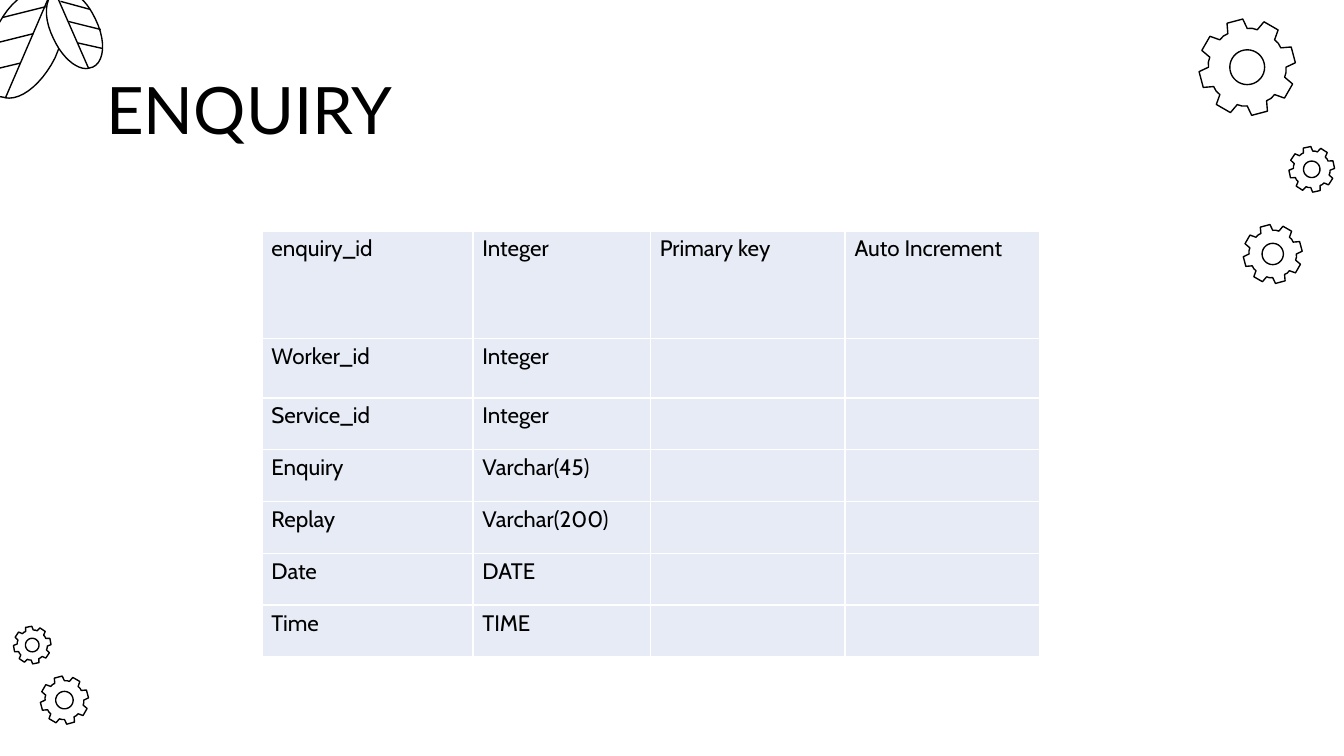
from dataclasses import dataclass
from itertools import chain
from math import cos, radians, sin

from lxml.etree import SubElement as Sub
from pptx import Presentation
from pptx.dml.color import RGBColor as RGB
from pptx.enum.text import MSO_ANCHOR as Anchor, MSO_AUTO_SIZE as Fit, PP_ALIGN as Align
from pptx.oxml.ns import qn
from pptx.util import Inches, Pt


@dataclass(frozen=True)
class Theme:
    ink: str = "000000"
    paper: str = "FFFFFF"
    cell: str = "E7EBF5"
    head: str = "Lato"
    body: str = "Cabin"
    head_size: float = 35
    body_size: float = 12
    line: float = 0.75
    rule: float = 1


# Centre x, centre y, outer radius, tilt in degrees
GEARS = [
    (9.47, 1.89, 0.22, 30),
    (9.76, 1.26, 0.17, 33),
    (9.28, 0.5, 0.36, 30),
    (0.48, 5.21, 0.18, 30),
    (0.24, 4.8, 0.14, 34),
]

# Each leaf: start of its edge, Bezier curves along it, and its veins
LEAVES = [
    (
        (0.07, 0.73),
        [
            ((0.04, 0.73), (0.02, 0.72), (0, 0.72)),
            ((-0.12, 0.66), (-0.13, 0.44), (-0.03, 0.22)),
            ((0.05, 0.04), (0.19, -0.08), (0.31, -0.08)),
            ((0.33, -0.08), (0.35, -0.07), (0.37, -0.06)),
            ((0.49, 0), (0.51, 0.21), (0.41, 0.43)),
            ((0.32, 0.61), (0.18, 0.73), (0.07, 0.73)),
        ],
        [
            (0.34, 0.05, 0.02, 0.13),
            (0.25, 0.25, -0.07, 0.33),
            (0.15, 0.47, -0.1, 0.53),
            (0.04, 0.73, 0.38, -0.06),
        ],
    ),
    (
        (0.64, 0.51),
        [
            ((0.66, 0.51), (0.68, 0.5), (0.69, 0.5)),
            ((0.78, 0.46), (0.79, 0.3), (0.71, 0.14)),
            ((0.65, 0.01), (0.55, -0.08), (0.47, -0.08)),
            ((0.45, -0.08), (0.44, -0.07), (0.42, -0.07)),
            ((0.33, -0.02), (0.32, 0.13), (0.4, 0.29)),
            ((0.46, 0.42), (0.56, 0.51), (0.64, 0.51)),
        ],
        [
            (0.45, 0.01, 0.67, 0.07),
            (0.51, 0.16, 0.75, 0.22),
            (0.58, 0.32, 0.76, 0.36),
            (0.66, 0.51, 0.41, -0.06),
        ],
    ),
]

COLS = [1.57, 1.32, 1.45, 1.45]
TALL = [0.8, 0.44]
ROWS = TALL + [(3.17 - sum(TALL)) / 5] * 5
FIELDS = [
    ("enquiry_id", "Integer", "Primary key", "Auto Increment"),
    ("Worker_id", "Integer"),
    ("Service_id", "Integer"),
    ("Enquiry", "Varchar(45)"),
    ("Replay", "Varchar(200)"),
    ("Date", "DATE"),
    ("Time", "TIME"),
]


def put(thing, form):
    for name, value in form.items():
        setattr(thing, name, value)


def polar(x, y, size, turn):
    return x + size * cos(radians(turn)), y + size * sin(radians(turn))


def curve(start, bends, steps=10):
    """Points along a chain of cubic Bezier curves."""
    dots = [start]
    for a, b, end in bends:
        for t in (n / steps for n in range(1, steps + 1)):
            s = 1 - t
            parts = zip(start, a, b, end)
            dots.append(tuple(
                s**3 * p + 3 * s * s * t * q + 3 * s * t * t * r + t**3 * e
                for p, q, r, e in parts
            ))
        start = end
    return dots


class Deck:
    def __init__(self, theme):
        self.theme = theme
        self.file = Presentation()
        wide = Inches(10)
        put(self.file, {"slide_width": wide, "slide_height": wide * 9 // 16})
        self.slide = self.file.slides.add_slide(self.file.slide_layouts[5])

    def font(self, font, name, size):
        put(font, {"name": name, "size": Pt(size), "bold": False})
        font.color.rgb = RGB.from_string(self.theme.ink)

    def stroke(self, shape):
        shape.line.color.rgb = RGB.from_string(self.theme.ink)
        shape.line.width = Pt(self.theme.line)

    def outline(self, shapes, loops, fill=None):
        """Draw one shape from closed loops of points in inches."""
        loops = [[(Inches(x), Inches(y)) for x, y in loop] for loop in loops]
        path = shapes.build_freeform(*loops[0][0])
        path.add_line_segments(loops[0][1:], close=True)
        for loop in loops[1:]:
            path.move_to(*loop[0])
            path.add_line_segments(loop[1:], close=True)
        shape = path.convert_to_shape()
        shape.shadow.inherit = False
        if fill:
            shape.fill.solid()
            shape.fill.fore_color.rgb = RGB.from_string(fill)
        else:
            shape.fill.background()
        self.stroke(shape)

    def gear(self, x, y, size, tilt):
        tooth = [(-15, 0.8), (-9.7, 1), (9.7, 1), (15, 0.8), (22.5, 0.81)]
        rim = [polar(x, y, size * far, tilt + 45 * n + turn)
               for n in range(8) for turn, far in tooth]
        hub = [polar(x, y, size * 0.36, turn) for turn in range(0, 360, 10)]
        self.outline(self.slide.shapes, [hub, rim])

    def leaf(self, start, bends, veins):
        shapes = self.slide.shapes.add_group_shape().shapes
        self.outline(shapes, [curve(start, bends)], self.theme.paper)
        for vein in veins:
            line = shapes.add_connector(1, *map(Inches, vein))
            Sub(line._element.spPr, qn("a:effectLst"))
            self.stroke(line)

    def title(self, text, *box):
        shape = self.slide.shapes.title
        put(shape, dict(zip(("left", "top", "width", "height"), map(Inches, box))))
        frame = shape.text_frame
        put(frame, {"text": text, "word_wrap": True, "auto_size": Fit.NONE,
                    "vertical_anchor": Anchor.MIDDLE, "margin_left": 0,
                    "margin_right": 0, "margin_top": 0, "margin_bottom": 0})
        line = frame.paragraphs[0]
        line.alignment = Align.LEFT
        self.font(line.font, self.theme.head, self.theme.head_size)

    def border(self, cell):
        props = cell._tc.get_or_add_tcPr()
        for side in ("lnL", "lnR", "lnT", "lnB"):
            edge = Sub(props, qn(f"a:{side}"), w=str(Pt(self.theme.rule)))
            Sub(Sub(edge, qn("a:solidFill")), qn("a:srgbClr"), val=self.theme.paper)

    def table(self, left, top, cols, rows, data):
        box = map(Inches, (left, top, sum(cols), sum(rows)))
        grid = self.slide.shapes.add_table(len(rows), len(cols), *box).table
        put(grid, {"first_row": False, "horz_banding": False})
        for col, width in zip(grid.columns, cols):
            col.width = Inches(width)
        for row, height, texts in zip(grid.rows, rows, data):
            row.height = Inches(height)
            for cell, text in zip(row.cells, chain(texts, [""] * len(cols))):
                self.border(cell)
                cell.fill.solid()
                cell.fill.fore_color.rgb = RGB.from_string(self.theme.cell)
                put(cell, {"text": text, "margin_left": Inches(0.07),
                           "margin_right": Inches(0.07),
                           "margin_top": 0, "margin_bottom": 0})
                line = cell.text_frame.paragraphs[0]
                line.line_spacing = 1.15
                self.font(line.font, self.theme.body, self.theme.body_size)


def main():
    deck = Deck(Theme())
    for gear in GEARS:
        deck.gear(*gear)
    for leaf in LEAVES:
        deck.leaf(*leaf)
    deck.title("ENQUIRY", 0.79, 0.49, 8.43, 0.63)
    deck.table(1.95, 1.72, COLS, ROWS, FIELDS)
    deck.file.save("out.pptx")


if __name__ == "__main__":
    main()
